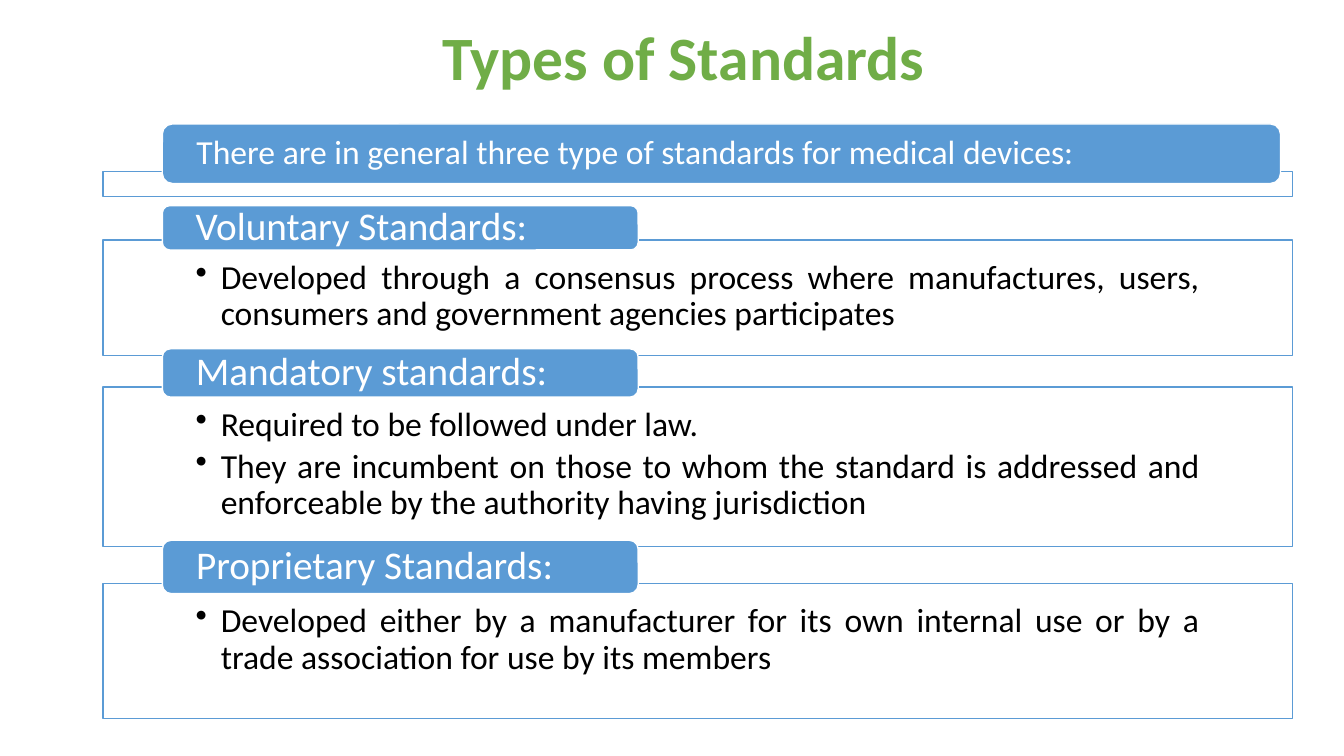
from lxml import etree
from pptx import Presentation
from pptx.dml.color import RGBColor
from pptx.enum.shapes import MSO_SHAPE
from pptx.enum.text import MSO_ANCHOR, PP_ALIGN
from pptx.oxml.ns import qn
from pptx.util import Emu, Pt

RECT, ROUND = MSO_SHAPE.RECTANGLE, MSO_SHAPE.ROUNDED_RECTANGLE
TOP, MIDDLE = MSO_ANCHOR.TOP, MSO_ANCHOR.MIDDLE
LEFT, CENTER, JUSTIFY = PP_ALIGN.LEFT, PP_ALIGN.CENTER, PP_ALIGN.JUSTIFY

BLUE = RGBColor(0x5B, 0x9B, 0xD5)
GREEN = RGBColor(0x70, 0xAD, 0x47)
WHITE = RGBColor(0xFF, 0xFF, 0xFF)
BLACK = RGBColor(0x00, 0x00, 0x00)

PX = 9144  # EMU per px, 100 px to the inch
FRAME_X, FRAME_W = 102, 1180
TAB_X, TAB_W = 161, 472

# Heading, alignment, tab top and height, frame top and height, points
GROUPS = [
    ("Voluntary Standards:", LEFT, 204, 44, 238, 115, [
        "Developed through a consensus process where manufactures, users, "
        "consumers and government agencies participates"]),
    ("Mandatory standards:", LEFT, 346, 48, 384, 158, [
        "Required to be followed under law. ",
        "They are incumbent on those to whom the standard is addressed and "
        "enforceable by the authority having jurisdiction"]),
    ("Proprietary Standards: ", JUSTIFY, 536, 53, 579, 134, [
        "Developed either by a manufacturer for its own internal use or by a "
        "trade association for use by its members"]),
]


class Deck:
    font = "Calibri"

    def __init__(self):
        self.prs = Presentation()
        self.prs.slide_width = Emu(1333 * PX)
        self.prs.slide_height = Emu(750 * PX)
        self.slide = self.prs.slides.add_slide(self.prs.slide_layouts[6])

    def box(self, kind, x, y, w, h, fill, line):
        shape = self.slide.shapes.add_shape(
            kind, *(Emu(n * PX) for n in (x, y, w, h)))
        shape.shadow.inherit = False
        shape.fill.solid()
        shape.fill.fore_color.rgb = fill
        shape.line.color.rgb = line
        shape.line.width = Pt(1)
        return shape

    def text(self, shape, lines, size, color, align, anchor, pad,
             bold=False, bullet=False):
        frame = shape.text_frame
        frame.word_wrap = True
        frame.vertical_anchor = anchor
        side, top, base = (Emu(n * PX) for n in pad)
        frame.margin_left = frame.margin_right = side
        frame.margin_top, frame.margin_bottom = top, base
        for i, line in enumerate(lines):
            para = frame.add_paragraph() if i else frame.paragraphs[0]
            if bullet:
                self.bullet(para)
            para.alignment = align
            para.line_spacing = 0.9
            if i < len(lines) - 1:
                para.space_after = Pt(4)
            run = para.add_run()
            run.text = line
            run.font.name = self.font
            run.font.size = Pt(size)
            run.font.bold = bold
            run.font.color.rgb = color

    def bullet(self, para):
        props = para._p.get_or_add_pPr()
        props.set("marL", str(25 * PX))
        props.set("indent", str(-25 * PX))
        etree.SubElement(props, qn("a:buChar")).set("char", "•")

    def title(self, text, x, y, w, h):
        shape = self.slide.shapes.add_textbox(
            *(Emu(n * PX) for n in (x, y, w, h)))
        self.text(shape, [text], 44, GREEN, CENTER, MIDDLE, (10, 5, 5),
                  bold=True)

    def panel(self, y, h, lines=()):
        shape = self.box(RECT, FRAME_X, y, FRAME_W, h, WHITE, BLUE)
        if lines:
            self.text(shape, lines, 24, BLACK, JUSTIFY, TOP, (92, 20, 19),
                      bullet=True)

    def tab(self, text, y, w, h, size, align):
        shape = self.box(ROUND, TAB_X, y, w, h, BLUE, WHITE)
        self.text(shape, [text], size, WHITE, align, MIDDLE, (31, 0, 0))


def main():
    deck = Deck()
    deck.title("Types of Standards", 114, 10, 1128, 100)

    # Opening statement
    deck.panel(170, 25)
    deck.tab("There are in general three type of standards for medical "
             "devices:", 123, 1109, 59, 24, JUSTIFY)

    # Three kinds of standards
    for head, align, tab_y, tab_h, y, h, points in GROUPS:
        deck.panel(y, h, points)
        deck.tab(head, tab_y, TAB_W, tab_h, 28, align)

    deck.prs.save("out.pptx")


if __name__ == "__main__":
    main()
